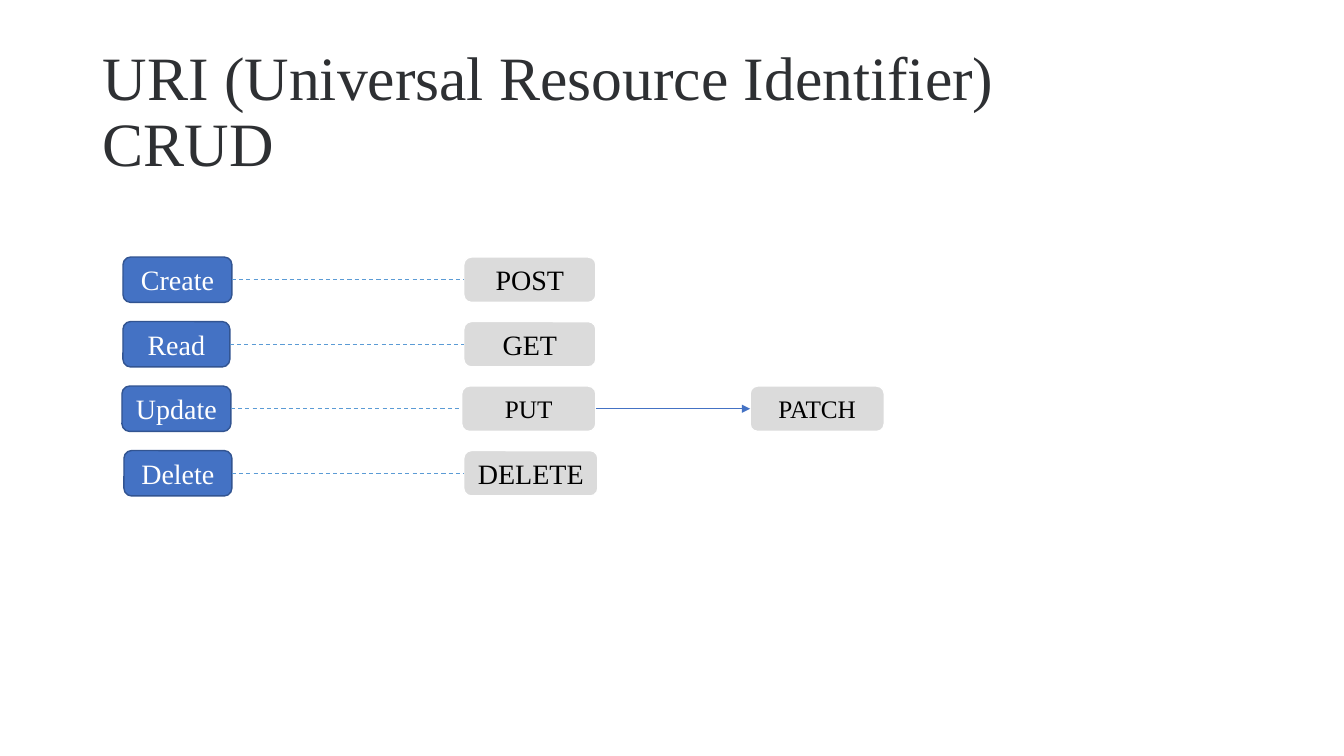
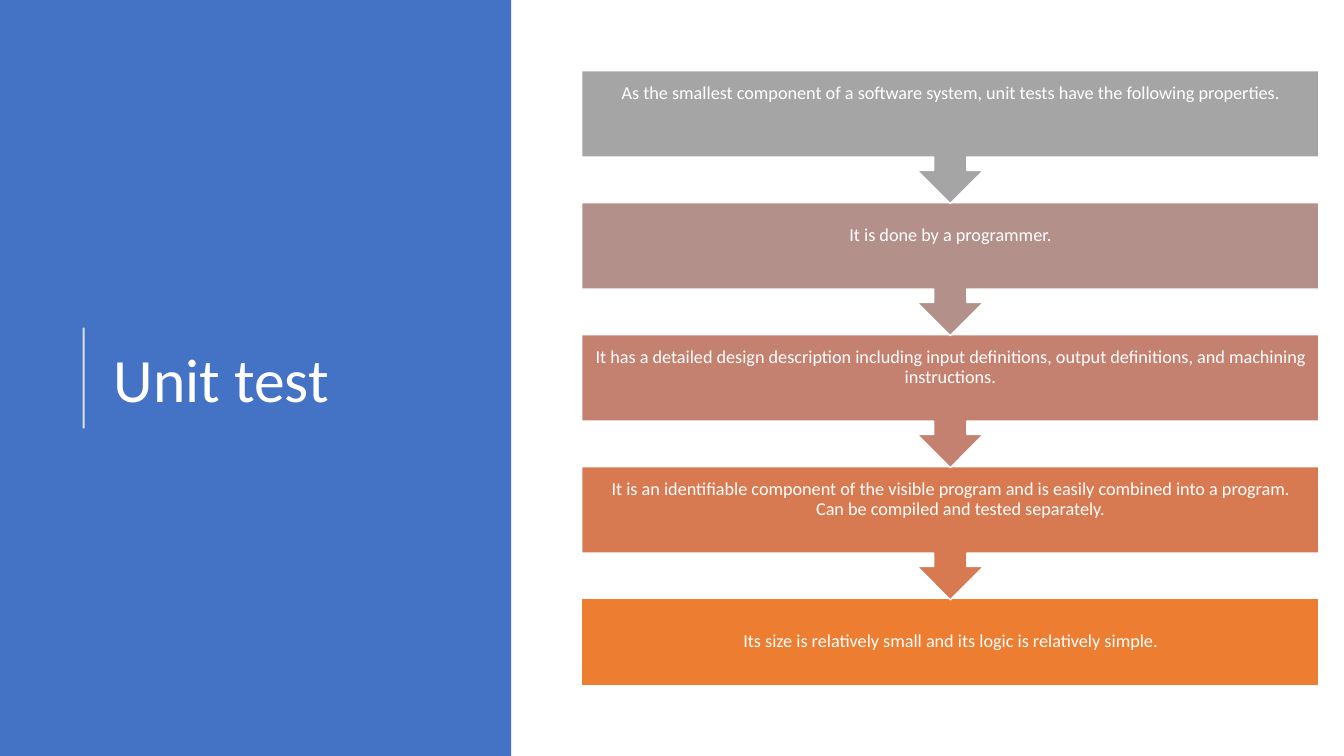
"""Build two slides: CRUD operations with their HTTP methods, and unit test properties."""
from dataclasses import dataclass

from lxml.etree import SubElement
from pptx import Presentation
from pptx.dml.color import RGBColor
from pptx.enum.dml import MSO_LINE
from pptx.enum.shapes import MSO_CONNECTOR, MSO_SHAPE
from pptx.enum.text import MSO_ANCHOR, PP_ALIGN
from pptx.oxml.ns import qn
from pptx.util import Inches, Pt


@dataclass(frozen=True)
class Theme:
    blue: str = "4472C4"
    blue_edge: str = "325491"
    sky: str = "5B9BD5"
    grey: str = "DBDBDB"
    white: str = "FFFFFF"
    black: str = "000000"
    ink: str = "2E3033"
    steps: tuple = ("A5A5A5", "B4908B", "C48170", "D87A51", "ED7D31")
    serif: str = "Times New Roman"
    sans: str = "Calibri"
    title: int = 44
    label: int = 20
    small: int = 18
    body: int = 13


T = Theme()


def box(s, text, at, kind=None, fill=None, edge=None, font=T.sans, size=T.body,
        color=T.white, align=PP_ALIGN.CENTER, spacing=1.0, pad=0.05, bottom=0.05):
    x, y, w, h = map(Inches, at)
    if kind is None:
        sp = s.shapes.add_textbox(x, y, w, h)
    else:
        sp = s.shapes.add_shape(kind, x, y, w, h)
        sp.shadow.inherit = False
        sp.fill.solid()
        sp.fill.fore_color.rgb = RGBColor.from_string(fill)
        if edge:
            sp.line.color.rgb = RGBColor.from_string(edge)
            sp.line.width = Pt(1)
        else:
            sp.line.fill.background()
    tf = sp.text_frame
    tf.word_wrap = True
    tf.vertical_anchor = MSO_ANCHOR.MIDDLE
    tf.margin_left = tf.margin_right = Inches(0.1)
    tf.margin_top, tf.margin_bottom = Inches(pad), Inches(bottom)
    tf.text = text
    for p in tf.paragraphs:
        p.alignment = align
        p.line_spacing = spacing
        for r in p.runs:
            r.font.name = font
            r.font.size = Pt(size)
            r.font.color.rgb = RGBColor.from_string(color)
    return sp


def rule(s, x1, y1, x2, y2, color, width):
    cx = s.shapes.add_connector(MSO_CONNECTOR.STRAIGHT, x1, y1, x2, y2)
    cx.line.color.rgb = RGBColor.from_string(color)
    cx.line.width = Pt(width)
    SubElement(cx._element.spPr, qn("a:effectLst"))
    return cx


prs = Presentation()
prs.slide_width, prs.slide_height = Inches(13.33), Inches(7.5)
blank = prs.slide_layouts[6]
title = dict(size=T.title, align=PP_ALIGN.LEFT, spacing=0.9)
action = dict(kind=MSO_SHAPE.ROUNDED_RECTANGLE, fill=T.blue, edge=T.blue_edge,
              font=T.serif, size=T.label)
method = dict(kind=MSO_SHAPE.ROUNDED_RECTANGLE, fill=T.grey, edge=T.white,
              font=T.serif, color=T.black)

s = prs.slides.add_slide(blank)
box(s, "URI (Universal Resource Identifier)\vCRUD", (0.92, 0.4, 11.5, 1.45),
    font=T.serif, color=T.ink, **title)

crud = [
    ("Create", 1.22, 1.08, "POST", 4.6, 1.31, T.label),
    ("Read", 1.22, 1.06, "GET", 4.6, 1.31, T.label),
    ("Update", 1.21, 1.08, "PUT", 4.58, 1.33, T.small),
    ("Delete", 1.23, 1.07, "DELETE", 4.6, 1.33, T.label),
]
links = []
for i, (verb, x, w, http, mx, mw, size) in enumerate(crud):
    y = 2.55 + 0.64 * i
    left = box(s, verb, (x, y, w, 0.45), **action)
    right = box(s, http, (mx, y, mw, 0.45), size=size, **method)
    links.append((left, right, T.sky, 0.75))
    if http == "PUT":
        patch = box(s, "PATCH", (7.44, y, mw, 0.45), size=size, **method)
        links.append((right, patch, T.blue, 0.5))

for a, b, color, width in links:
    y = a.top + a.height // 2
    cx = rule(s, a.left + a.width, y, b.left, y, color, width)
    cx.begin_connect(a, 3)
    cx.end_connect(b, 1)
    if b is patch:
        SubElement(cx.line._get_or_add_ln(), qn("a:tailEnd"), type="triangle")
    else:
        cx.line.dash_style = MSO_LINE.DASH

s = prs.slides.add_slide(blank)
box(s, "", (0, 0, 5.07, 7.5), kind=MSO_SHAPE.RECTANGLE, fill=T.blue)
box(s, "Unit test", (1.03, 0.78, 3.69, 6.02), **title)
bar = rule(s, Inches(0.83), Inches(4.25), Inches(0.83), Inches(3.25), T.white, 1.5)
tint = bar.line._get_or_add_ln().find(".//" + qn("a:srgbClr"))
SubElement(tint, qn("a:alpha"), val="80000")

properties = [
    ("As the smallest component of a software system, unit tests have the following "
     "properties.", 0.5),
    ("It is done by a programmer.", 0.3),
    ("It has a detailed design description including input definitions, output "
     "definitions, and machining instructions.", 0.3),
    ("It is an identifiable component of the visible program and is easily combined "
     "into a program.\nCan be compiled and tested separately.", 0.3),
    ("Its size is relatively small and its logic is relatively simple.", 0.1),
]
last = len(properties) - 1
for i in range(last, -1, -1):
    text, bottom = properties[i]
    kind = MSO_SHAPE.RECTANGLE if i == last else MSO_SHAPE.DOWN_ARROW_CALLOUT
    height = 0.86 if i == last else 1.32
    sp = box(s, text, (5.77, 0.7 + 1.31 * i, 7.31, height), kind=kind, fill=T.steps[i],
             edge=T.white, spacing=0.9, pad=0.1, bottom=bottom)
    for p in sp.text_frame.paragraphs[1:]:
        p._p.get_or_add_pPr().set("marL", str(Inches(0.2)))

prs.save("out.pptx")
